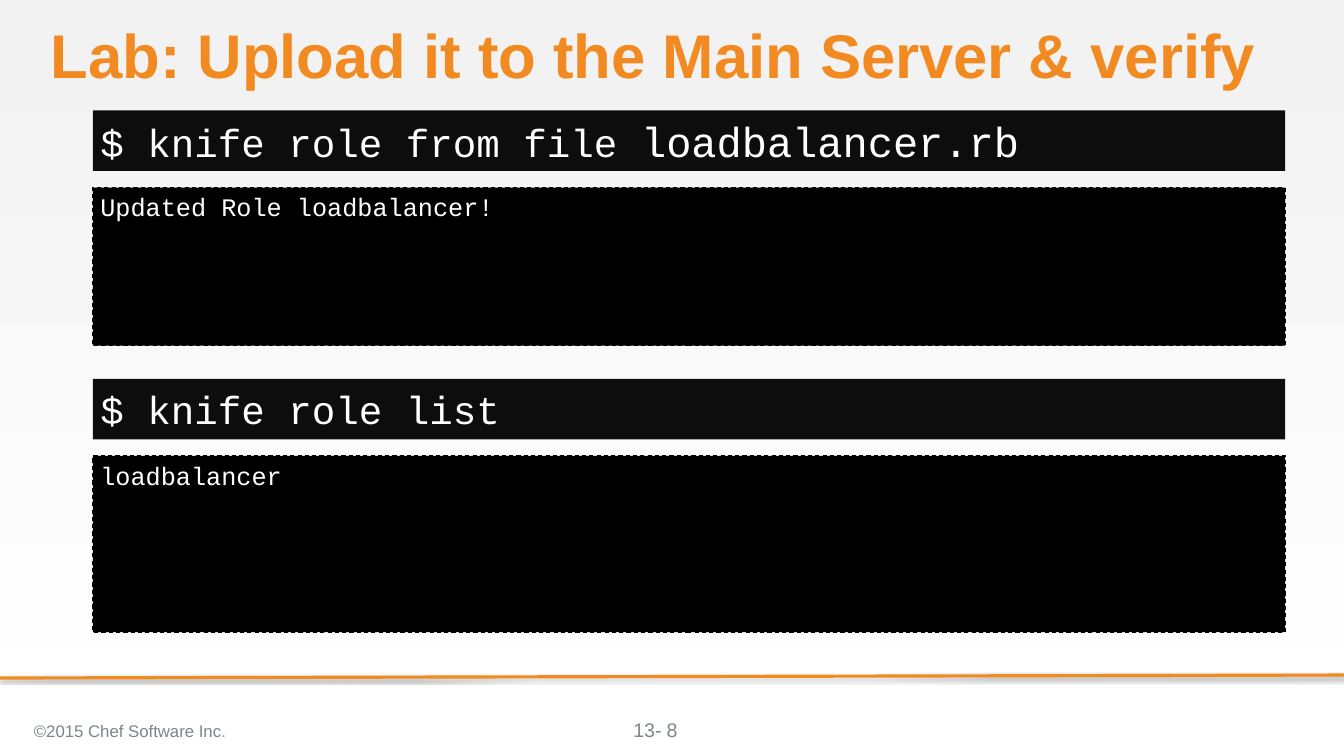
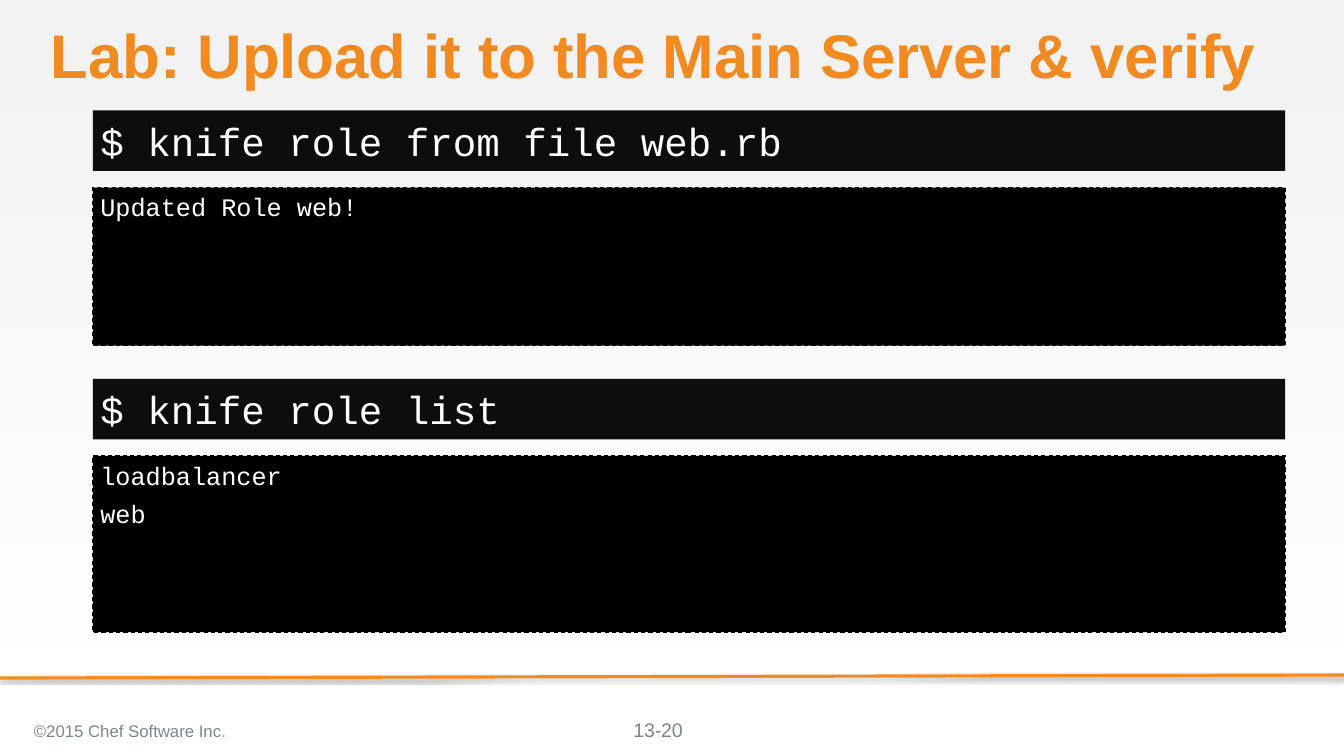
from lxml import etree
from pptx import Presentation
from pptx.dml.color import RGBColor
from pptx.enum.dml import MSO_LINE
from pptx.enum.shapes import MSO_CONNECTOR
from pptx.enum.text import MSO_ANCHOR, MSO_AUTO_SIZE, PP_ALIGN
from pptx.oxml import parse_xml
from pptx.util import Cm, Pt

TOP, MIDDLE = MSO_ANCHOR.TOP, MSO_ANCHOR.MIDDLE
LEFT, CENTER = PP_ALIGN.LEFT, PP_ALIGN.CENTER
STRAIGHT, DASH = MSO_CONNECTOR.STRAIGHT, MSO_LINE.DASH
NO_AUTOFIT = MSO_AUTO_SIZE.NONE
COMPARISON_LAYOUT = 4
DRAWING = "http://schemas.openxmlformats.org/drawingml/2006/main"

COLORS = {
    "orange": "F18B21", "white": "FFFFFF", "black": "000000",
    "command": "0D0D0D", "footer": "7D868C", "period": "929494",
    "background top": "F2F2F2", "background bottom": "FFFFFF",
}
SANS, MONO = "Arial", "Courier New"

TITLE = "Lab: Upload it to the Main Server & verify"
COPYRIGHT = [("©2015 Chef Software Inc", {}), (".", {"color": "period"})]
CHAPTER = "13-"

# Each step is a command, as text or as formatted spans, and its output lines.
SLIDES = [
    {"page": "8", "steps": [
        ([("$ knife role from file ", {}), ("loadbalancer.rb", {"size": 40})],
         ["Updated Role loadbalancer!"]),
        ("$ knife role list", ["loadbalancer"]),
    ]},
    {"page": "20", "steps": [
        ("$ knife role from file web.rb", ["Updated Role web!"]),
        ("$ knife role list", ["loadbalancer", "web"]),
    ]},
]

# All measures are in centimetres.
SLIDE_WIDTH, SLIDE_HEIGHT = 45.16, 25.4
CONSOLE_LEFT, CONSOLE_WIDTH = 3.12, 40.06
COMMAND_TOPS, COMMAND_HEIGHT = (3.71, 12.73), 2.03
OUTPUT_OFFSET, OUTPUT_HEIGHTS = 2.59, (5.31, 5.92)
FOOTER_TOP = 23.83
DEFAULT_INSETS = (0.25, 0.13, 0.25, 0.13)


def rgb(name):
    return RGBColor.from_string(COLORS[name])


def place(shape, left, top, width, height):
    shape.left, shape.top = Cm(left), Cm(top)
    shape.width, shape.height = Cm(width), Cm(height)


def remove_bullet(para):
    properties = para._p.get_or_add_pPr()
    properties.set("marL", "0")
    properties.set("indent", "0")
    etree.SubElement(properties, f"{{{DRAWING}}}buNone")


def write(shape, paragraphs, *, size, color, font=SANS, bold=False, align=LEFT,
          anchor=TOP, insets=DEFAULT_INSETS, gap=0, line_spacing=1.0):
    """Fill a shape with paragraphs, each a string or a list of (text, format) spans."""
    frame = shape.text_frame
    frame.word_wrap = True
    frame.auto_size = NO_AUTOFIT
    frame.vertical_anchor = anchor
    (frame.margin_left, frame.margin_top,
     frame.margin_right, frame.margin_bottom) = map(Cm, insets)
    for number, content in enumerate(paragraphs):
        para = frame.add_paragraph() if number else frame.paragraphs[0]
        remove_bullet(para)
        para.alignment = align
        para.line_spacing = line_spacing
        para.space_before = Pt(gap if number else 0)
        spans = [(content, {})] if isinstance(content, str) else content
        for text, changes in spans:
            span = para.add_run()
            span.text = text
            span.font.name = font
            span.font.bold = bold
            span.font.size = Pt(changes.get("size", size))
            span.font.color.rgb = rgb(changes.get("color", color))


def paint(shape, fill):
    shape.fill.solid()
    shape.fill.fore_color.rgb = rgb(fill)


def add_rule(slide):
    """Draw the slightly slanted orange rule with its soft shadow."""
    rule = slide.shapes.add_connector(
        STRAIGHT, Cm(SLIDE_WIDTH), Cm(22.68), Cm(0), Cm(22.78))
    rule.line.color.rgb = rgb("orange")
    rule.line.width = Pt(3)
    rule._element.spPr.append(parse_xml(
        f'<a:effectLst xmlns:a="{DRAWING}">'
        f'<a:outerShdw blurRad="{Pt(3.1)}" dist="{Pt(1.8)}" dir="5400000">'
        f'<a:srgbClr val="{COLORS["black"]}"><a:alpha val="35000"/></a:srgbClr>'
        '</a:outerShdw></a:effectLst>'))


def add_footer(slide, page):
    parts = [
        (COPYRIGHT, (0.89, FOOTER_TOP, 15.77, 1.42), {"size": 16, "anchor": MIDDLE}),
        (CHAPTER, (21.18, 24.12, 2.03, 0.79),
         {"size": 18.7, "insets": (0.1, 0, 0, 0)}),
        (page, (17.5, FOOTER_TOP, 10.16, 1.35),
         {"size": 18.7, "anchor": MIDDLE, "align": CENTER}),
    ]
    for content, area, style in parts:
        box = slide.shapes.add_textbox(*map(Cm, area))
        write(box, [content], color="footer", **style)


def add_step(command_box, output_box, step, top, output_height):
    command, output = step
    place(command_box, CONSOLE_LEFT, top, CONSOLE_WIDTH, COMMAND_HEIGHT)
    paint(command_box, "command")
    write(command_box, [command], size=37.3, color="white", font=MONO,
          anchor=MIDDLE, insets=(0.25, 0, 0, 0))

    place(output_box, CONSOLE_LEFT, top + OUTPUT_OFFSET, CONSOLE_WIDTH, output_height)
    paint(output_box, "black")
    output_box.line.color.rgb = rgb("black")
    output_box.line.width = Pt(1)
    output_box.line.dash_style = DASH
    write(output_box, output, size=24, color="white", font=MONO, gap=8)


def set_background(master):
    fill = master.background.fill
    fill.gradient()
    fill.gradient_angle = 270
    for stop, name in zip(fill.gradient_stops, ("background top", "background bottom")):
        stop.color.rgb = rgb(name)


def add_slide(deck, content):
    slide = deck.slides.add_slide(deck.slide_layouts[COMPARISON_LAYOUT])
    title, *consoles = slide.placeholders
    add_rule(slide)
    place(title, 1.7, 0.84, 41.48, 2.31)
    write(title, [TITLE], size=58.7, color="orange", bold=True,
          insets=(0, 0, 0, 0), line_spacing=0.9)
    pairs = zip(consoles[::2], consoles[1::2])
    for boxes, step, top, height in zip(
            pairs, content["steps"], COMMAND_TOPS, OUTPUT_HEIGHTS):
        add_step(*boxes, step, top, height)
    add_footer(slide, content["page"])


def main():
    deck = Presentation()
    deck.slide_width, deck.slide_height = Cm(SLIDE_WIDTH), Cm(SLIDE_HEIGHT)
    set_background(deck.slide_master)
    for content in SLIDES:
        add_slide(deck, content)
    deck.save("out.pptx")


if __name__ == "__main__":
    main()
